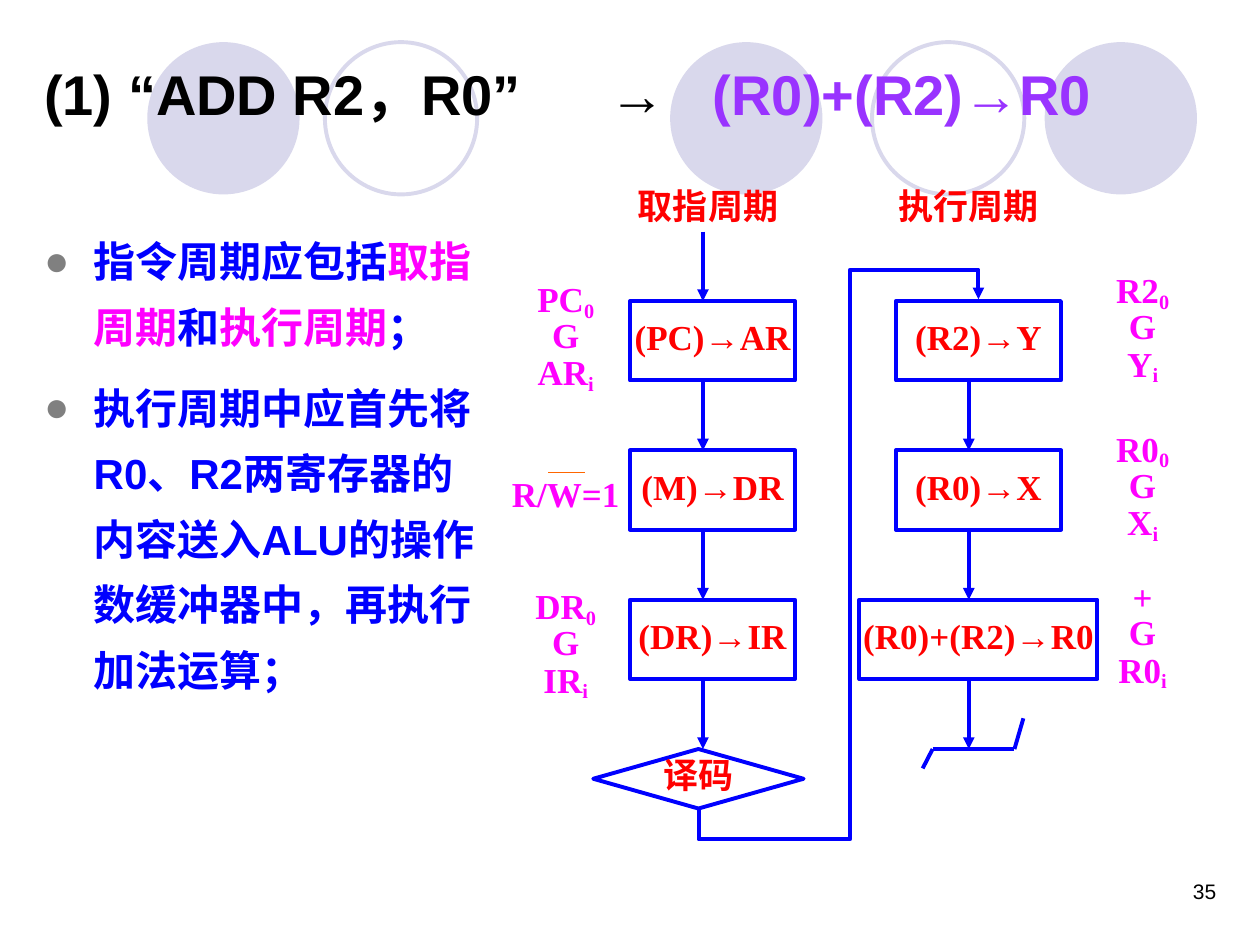
import pptx
import pptx.dml.color
import pptx.enum.shapes
import pptx.enum.text
import pptx.oxml.ns
import pptx.util
from lxml import etree

Cm, Pt = pptx.util.Cm, pptx.util.Pt
qn = pptx.oxml.ns.qn
rgb = pptx.dml.color.RGBColor.from_string
SHAPE = pptx.enum.shapes.MSO_SHAPE
CONNECTOR = pptx.enum.shapes.MSO_CONNECTOR
ALIGN = pptx.enum.text.PP_ALIGN
MIDDLE = pptx.enum.text.MSO_ANCHOR.MIDDLE
BLUE, RED, MAGENTA, LILAC = "0000FF", "FF0000", "FF00FF", "D9D8EC"
SERIF, SANS, CHINESE = "Times New Roman", "Arial", "Noto Sans CJK SC"

deck = pptx.Presentation()
deck.slide_width, deck.slide_height = Cm(25.4), Cm(19.05)
slide = deck.slides.add_slide(deck.slide_layouts[6])
shapes = slide.shapes


def write(frame, lines, size, align=ALIGN.CENTER, spacing=0.8, gap=0, bold=True):
    """Fill a text frame; each line is a list of (text, colour, font, baseline) runs."""
    for number, runs in enumerate(lines):
        paragraph = frame.add_paragraph() if number else frame.paragraphs[0]
        paragraph.alignment = align
        paragraph.line_spacing = spacing
        if number:
            paragraph.space_before = Pt(gap)
        for text, colour, font, baseline in runs:
            run = paragraph.add_run()
            run.text = text
            run.font.size = Pt(size)
            run.font.bold = bold
            run.font.color.rgb = rgb(colour)
            run.font.name = font
            properties = run._r.get_or_add_rPr()
            etree.SubElement(properties, qn("a:ea"), typeface=CHINESE)
            if baseline:
                properties.set("baseline", str(baseline))


def connect(x1, y1, x2, y2, arrow=False, kind=CONNECTOR.STRAIGHT, colour=BLUE, width=2.25):
    connector = shapes.add_connector(kind, Cm(x1), Cm(y1), Cm(x2), Cm(y2))
    connector.line.color.rgb = rgb(colour)
    connector.line.width = Pt(width)
    if arrow:
        etree.SubElement(connector.line._get_or_add_ln(), qn("a:tailEnd"), type="triangle")
    etree.SubElement(connector._element.spPr, qn("a:effectLst"))
    return connector


# Background circles
for left, filled in [(13.51, True), (21.06, True), (2.97, True), (17.58, False), (6.55, False)]:
    circle = shapes.add_shape(SHAPE.OVAL, Cm(left), Cm(0.85), Cm(3.07), Cm(3.07))
    circle.shadow.inherit = False
    if filled:
        circle.fill.solid()
        circle.fill.fore_color.rgb = rgb(LILAC)
        circle.line.fill.background()
    else:
        circle.fill.background()
        circle.line.color.rgb = rgb(LILAC)
        circle.line.width = Pt(2.25)

# Slide number
page = shapes.add_textbox(Cm(18.85), Cm(17.58), Cm(5.92), Cm(1.27)).text_frame
page.word_wrap = True
write(page, [[("35", "000000", SANS, 0)]], 12, ALIGN.RIGHT, 1.0, bold=False)

# Explanation
points = shapes.add_textbox(Cm(0.64), Cm(4.32), Cm(9.3), Cm(11.56)).text_frame
points.word_wrap = True
write(points, [
    [("指令周期应包括", BLUE, SANS, 0), ("取指周期", MAGENTA, SANS, 0), ("和", BLUE, SANS, 0),
     ("执行周期", MAGENTA, SANS, 0), ("；", BLUE, SANS, 0)],
    [("执行周期中应首先将R0、R2两寄存器的内容送入ALU的操作数缓冲器中，再执行加法运算；",
      BLUE, SANS, 0)],
], 24, ALIGN.LEFT, 1.3, gap=3)
for point in points.paragraphs:
    point.space_after = Pt(6)
    layout = point._p.get_or_add_pPr()
    layout.set("marL", str(Cm(1)))
    layout.set("indent", str(-Cm(1)))
    bullet_colour = etree.SubElement(layout, qn("a:buClr"))
    etree.SubElement(bullet_colour, qn("a:srgbClr"), val="808080")
    etree.SubElement(layout, qn("a:buFont"), typeface=SANS)
    etree.SubElement(layout, qn("a:buChar"), char="●")

# Title, with tab stops around the arrow
title = shapes.add_textbox(Cm(0.64), Cm(0.58), Cm(24.51), Cm(2.59)).text_frame
title.word_wrap = True
title.vertical_anchor = MIDDLE
tab_stops = etree.SubElement(title.paragraphs[0]._p.get_or_add_pPr(), qn("a:tabLst"))
for stop in (11.4, 13.48):
    etree.SubElement(tab_stops, qn("a:tab"), pos=str(Cm(stop)), algn="l")
write(title, [[("(1) “ADD R2，R0”\t→\t", "000000", SANS, 0),
               ("(R0)+(R2)→R0", "9933FF", SANS, 0)]], 32, ALIGN.LEFT, 1.0)

# Flowchart steps: two columns on a shared row grid
ROW_TOP, ROW_PITCH, STEP_HEIGHT = 6.07, 3.01, 1.6
steps = []
for left, arrow_x, column in [
    (12.7, 14.17, [("(PC)", "AR"), ("(M)", "DR"), ("(DR)", "IR")]),
    (18.06, 19.53, [("(R2)", "Y"), ("(R0)", "X"), ("(R0)+(R2)", "R0")]),
]:
    for row, (source, target) in enumerate(column):
        top = ROW_TOP + row * ROW_PITCH
        width = 4.8 if len(source) > 5 else 3.33
        runs = [(source, RED, SERIF, 0), ("→", RED, SANS, 0), (target, RED, SERIF, 0)]
        steps.append((SHAPE.RECTANGLE, left + (3.33 - width) / 2, top, width, STEP_HEIGHT, runs))
        connect(arrow_x, top + STEP_HEIGHT, arrow_x, top + ROW_PITCH, arrow=True)
DECODE_TOP = ROW_TOP + 3 * ROW_PITCH
steps.append((SHAPE.FLOWCHART_DECISION, 11.96, DECODE_TOP, 4.24, 1.2,
              [("译码", RED, SERIF, 0)]))
for outline, left, top, width, height, runs in steps:
    step = shapes.add_shape(outline, Cm(left), Cm(top), Cm(width), Cm(height))
    step.shadow.inherit = False
    step.fill.background()
    step.line.color.rgb = rgb(BLUE)
    step.line.width = Pt(2.25)
    step.text_frame.word_wrap = False
    step.text_frame.vertical_anchor = MIDDLE
    write(step.text_frame, [runs], 20)

connect(14.17, 4.67, 14.17, ROW_TOP, arrow=True)

# Path from decoding up to the execute column: a five-part elbow turned by 90 degrees
to_execute = connect(22.05, 14.0, 11.76, 8.36, arrow=True, kind=CONNECTOR.ELBOW)
to_execute._element.spPr.find(qn("a:xfrm")).set("rot", "5400000")
elbow = to_execute._element.spPr.find(qn("a:prstGeom"))
elbow.set("prst", "bentConnector5")
bends = elbow.find(qn("a:avLst"))
for number, bend in enumerate((-5800, 54100, 105800), 1):
    etree.SubElement(bends, qn("a:gd"), name=f"adj{number}", fmla=f"val {bend}")

# End mark
for x1, x2, y2 in [(18.8, 20.45, DECODE_TOP), (20.45, 20.63, 14.48), (18.8, 18.6, 15.49)]:
    connect(x1, DECODE_TOP, x2, y2)

# Column headings and control signals
captions = [
    (left, 3.73, width, 0.99, [[(heading, RED, CHINESE, 0)]])
    for left, width, heading in [(12.52, 3.51, "取指周期"), (17.86, 3.33, "执行周期")]
]
for left, top, signals in [
    (10.11, 5.72, [("PC", "0"), ("G", ""), ("AR", "i")]),
    (10.11, 8.92, [("R/W=1", "")]),
    (10.11, 11.91, [("DR", "0"), ("G", ""), ("IR", "i")]),
    (21.74, 5.54, [("R2", "0"), ("G", ""), ("Y", "i")]),
    (21.74, 8.74, [("R0", "0"), ("G", ""), ("X", "i")]),
    (21.74, 11.73, [("+", ""), ("G", ""), ("R0", "i")]),
]:
    lines = [[(text, MAGENTA, SERIF, baseline)
              for text, baseline in ((name, 0), (subscript, -16000)) if text]
             for name, subscript in signals]
    captions.append((left, top, 2.59, 2.21, lines))
for left, top, width, height, lines in captions:
    caption = shapes.add_textbox(Cm(left), Cm(top), Cm(width), Cm(height)).text_frame
    caption.word_wrap = False
    caption.margin_left = caption.margin_right = 0
    caption.vertical_anchor = MIDDLE
    write(caption, lines, 20, gap=1.2)

# Bar over the W of R/W
connect(11.05, 9.52, 11.79, 9.52, colour="FF6600", width=0.75)

deck.save("out.pptx")
